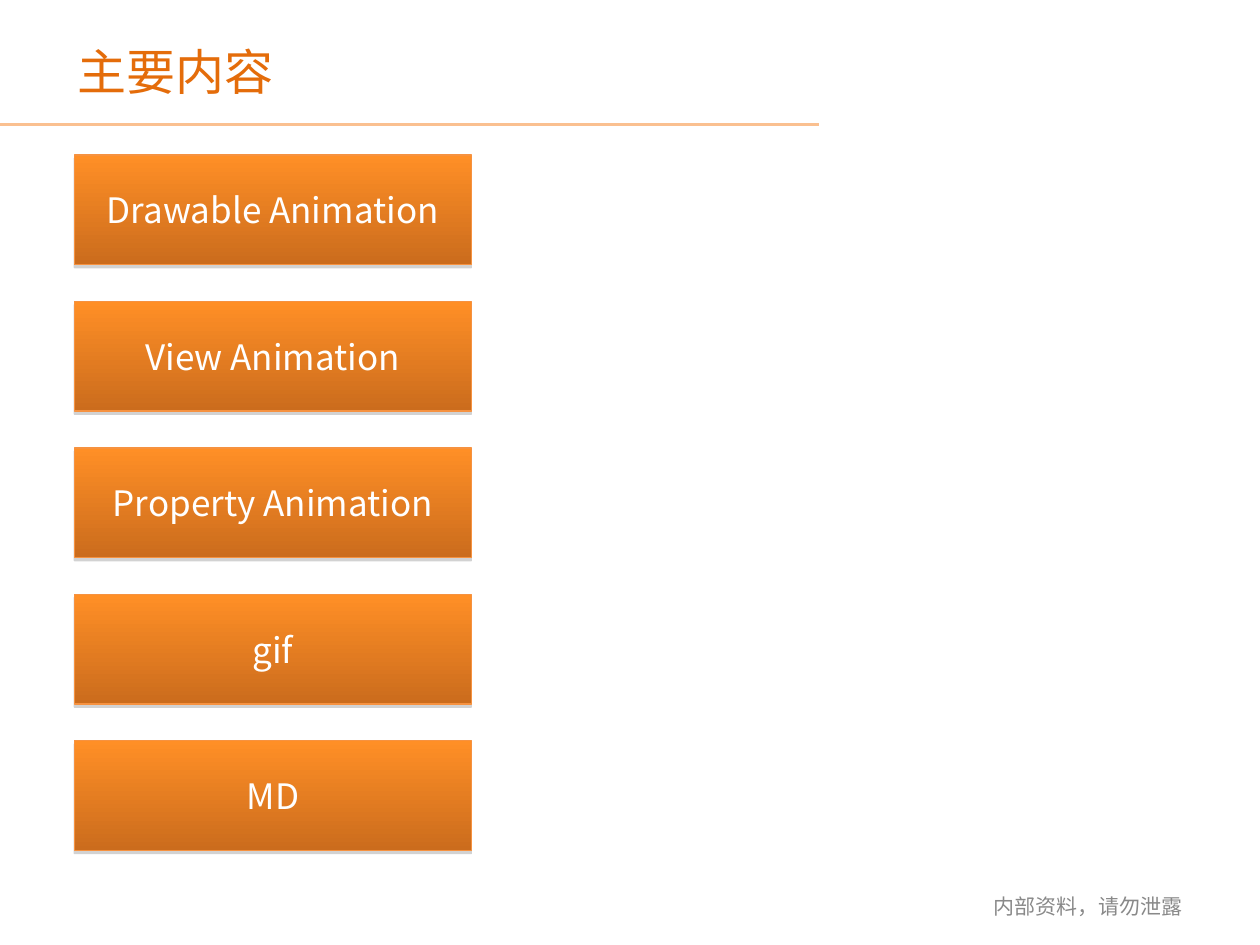
from dataclasses import dataclass

from lxml import etree
from pptx import Presentation
from pptx.dml.color import RGBColor
from pptx.enum.shapes import MSO_CONNECTOR, MSO_SHAPE
from pptx.enum.text import MSO_ANCHOR, MSO_AUTO_SIZE, PP_ALIGN
from pptx.oxml.ns import qn
from pptx.util import Inches, Pt

RECT = MSO_SHAPE.RECTANGLE
STRAIGHT = MSO_CONNECTOR.STRAIGHT
MIDDLE, TOP = MSO_ANCHOR.MIDDLE, MSO_ANCHOR.TOP
CENTER = PP_ALIGN.CENTER
GROW = MSO_AUTO_SIZE.SHAPE_TO_FIT_TEXT
SANS = "Noto Sans CJK SC"
WIDE, HIGH = Inches(10), Inches(7.5)
TOPICS = ["Drawable Animation", "View Animation", "Property Animation", "gif", "MD"]


@dataclass
class Box:
    """Place and size in percent of the slide."""

    x: float
    y: float
    w: float
    h: float

    def emu(self) -> list[int]:
        """Give left, top, width and height as lengths."""
        return [across(self.x), down(self.y), across(self.w), down(self.h)]


def across(share: float) -> int:
    """Turn a percent of the width into a length."""
    return round(WIDE * share / 100)


def down(share: float) -> int:
    """Turn a percent of the height into a length."""
    return round(HIGH * share / 100)


def paint(color, code: str) -> None:
    """Set a colour from a hex string."""
    color.rgb = RGBColor.from_string(code)


def write(frame, text: str, size: float, color: str, font: str = SANS,
          anchor=MIDDLE, wrap: bool = True) -> None:
    """Put one centred line of text in a frame."""
    frame.word_wrap = wrap
    frame.vertical_anchor = anchor
    para = frame.paragraphs[0]
    para.alignment = CENTER
    run = para.add_run()
    run.text = text
    run.font.name, run.font.size = font, Pt(size)
    paint(run.font.color, color)
    etree.SubElement(run.font._element, qn("a:ea"), typeface=SANS)


def shade(shape) -> None:
    """Give a shape a thin grey shadow below it."""
    shape.shadow.inherit = False
    effects = shape._element.spPr.find(qn("a:effectLst"))
    outer = etree.SubElement(effects, qn("a:outerShdw"), blurRad="0",
                             dist=str(Pt(1.8)), dir="5400000", rotWithShape="0")
    grey = etree.SubElement(outer, qn("a:srgbClr"), val="808080")
    etree.SubElement(grey, qn("a:alpha"), val="35000")


def topic(slide, text: str, box: Box) -> None:
    """Draw one topic bar."""
    bar = slide.shapes.add_shape(RECT, *box.emu())
    bar.fill.gradient()
    bar.fill.gradient_angle = 270
    for stop, code, spot in zip(bar.fill.gradient_stops, ("FF8F26", "CB6C1D"), (0, 1)):
        paint(stop.color, code)
        stop.position = spot
    paint(bar.line.color, "F69240")
    bar.line.width = Pt(0.75)
    shade(bar)
    write(bar.text_frame, text, 20, "FFFFFF")


def rule(slide, y: float, end: float) -> None:
    """Draw the line under the title."""
    line = slide.shapes.add_connector(STRAIGHT, 0, down(y), across(end), down(y))
    paint(line.line.color, "FAC090")
    line.line.width = Pt(2)
    etree.SubElement(line._element.spPr, qn("a:effectLst"))


def main() -> None:
    """Build and save the slide."""
    deck = Presentation()
    deck.slide_width, deck.slide_height = WIDE, HIGH
    slide = deck.slides.add_slide(deck.slide_layouts[6])
    rule(slide, 13.2, 65)
    for row, text in enumerate(TOPICS):
        topic(slide, text, Box(5.9, 16.4 + 15.5 * row, 31.5, 11.6))
    title = slide.shapes.add_textbox(*Box(5.2, 3.73, 17.5, 7.6).emu())
    write(title.text_frame, "主要内容", 28, "E46C0A", anchor=TOP, wrap=False)
    title.text_frame.auto_size = GROW
    note = slide.shapes.add_textbox(*Box(77.6, 93.2, 17.5, 5.33).emu())
    write(note.text_frame, "内部资料，请勿泄露", 12, "898989", font="Calibri")
    deck.save("out.pptx")


if __name__ == "__main__":
    main()
